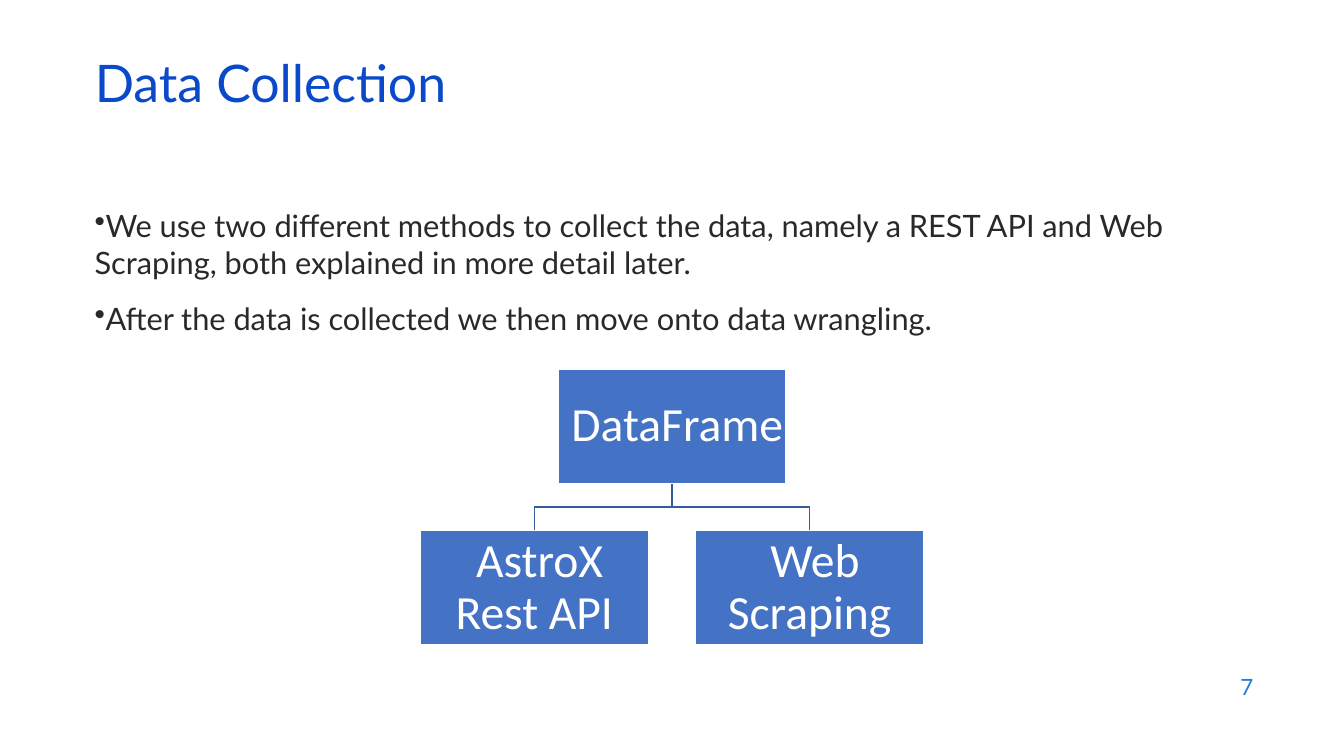
"""Build the Data Collection slide with a small hierarchy diagram."""
from pptx import Presentation
from pptx.dml.color import RGBColor
from pptx.enum.shapes import MSO_SHAPE
from pptx.enum.text import MSO_ANCHOR, MSO_AUTO_SIZE, PP_ALIGN
from pptx.oxml.ns import qn
from pptx.util import Inches, Pt

TITLE_BLUE = RGBColor(0x0B, 0x49, 0xCB)
NUMBER_BLUE = RGBColor(0x1C, 0x7D, 0xDB)
BODY_GRAY = RGBColor(0x29, 0x29, 0x29)
BOX_BLUE = RGBColor(0x44, 0x72, 0xC4)
LINK_BLUE = RGBColor(0x36, 0x5B, 0x9D)
WHITE = RGBColor(0xFF, 0xFF, 0xFF)

BULLETS = [
    "We use two different methods to collect the data, namely a REST API and Web "
    "Scraping, both explained in more detail later.",
    "After the data is collected we then move onto data wrangling.",
]
ROOT = " DataFrame"
SOURCES = [" AstroX Rest API", " Web Scraping"]


def style_font(paragraph, name, size, color):
    """Set typeface, size and colour on every run of a paragraph."""
    for run in paragraph.runs:
        run.font.name = name
        run.font.size = Pt(size)
        run.font.color.rgb = color


def add_title(slide, text, left, top, width, height):
    """Place and format the title placeholder."""
    title = slide.shapes.title
    title.left, title.top, title.width, title.height = left, top, width, height
    frame = title.text_frame
    frame.text = text
    frame.auto_size = MSO_AUTO_SIZE.NONE
    frame.vertical_anchor = MSO_ANCHOR.MIDDLE
    paragraph = frame.paragraphs[0]
    paragraph.alignment = PP_ALIGN.LEFT
    paragraph.line_spacing = 0.7
    style_font(paragraph, "Lato", 37, TITLE_BLUE)


def add_bullets(slide, texts, left, top, width, height):
    """Add the bulleted body text."""
    frame = slide.shapes.add_textbox(left, top, width, height).text_frame
    frame.word_wrap = True
    frame.text = "\n".join(texts)
    for index, paragraph in enumerate(frame.paragraphs):
        properties = paragraph._p.get_or_add_pPr()
        bullet = properties.makeelement(qn("a:buChar"), {"char": "•"})
        properties.append(bullet)
        paragraph.space_before = Pt(14 if index else 0)
        style_font(paragraph, "Lato", 22, BODY_GRAY)


def add_page_number(slide, text, left, top, width, height):
    """Add the right-aligned page number."""
    frame = slide.shapes.add_textbox(left, top, width, height).text_frame
    frame.word_wrap = True
    frame.vertical_anchor = MSO_ANCHOR.MIDDLE
    frame.text = text
    paragraph = frame.paragraphs[0]
    paragraph.alignment = PP_ALIGN.RIGHT
    style_font(paragraph, "Lato", 16, NUMBER_BLUE)


def add_node(slide, text, left, top, width, height):
    """Add one labelled box of the hierarchy."""
    node = slide.shapes.add_shape(MSO_SHAPE.RECTANGLE, left, top, width, height)
    node.shadow.inherit = False
    node.fill.solid()
    node.fill.fore_color.rgb = BOX_BLUE
    node.line.color.rgb = WHITE
    node.line.width = Pt(1)
    frame = node.text_frame
    frame.word_wrap = True
    frame.vertical_anchor = MSO_ANCHOR.MIDDLE
    frame.margin_left = frame.margin_right = Inches(0.02)
    frame.margin_top = frame.margin_bottom = Inches(0.02)
    frame.text = text
    paragraph = frame.paragraphs[0]
    paragraph.alignment = PP_ALIGN.CENTER
    paragraph.line_spacing = 0.9
    style_font(paragraph, "Calibri", 34, WHITE)


def add_link(slide, start_x, start_y, end_x, end_y):
    """Add a stepped line from a parent box down to a child box."""
    middle_y = (start_y + end_y) // 2
    builder = slide.shapes.build_freeform(start_x, start_y)
    builder.add_line_segments(
        [(start_x, middle_y), (end_x, middle_y), (end_x, end_y)], close=False
    )
    link = builder.convert_to_shape()
    link.shadow.inherit = False
    link.fill.background()
    link.line.color.rgb = LINK_BLUE
    link.line.width = Pt(1)


def add_hierarchy(slide, root, children, left, top, width, height):
    """Add a root box centred above a row of linked child boxes."""
    gap = Inches(0.47)
    node_width = (width - gap * (len(children) - 1)) // len(children)
    node_height = (height - gap) // 2
    center = left + width // 2
    child_top = top + node_height + gap
    lefts = [left + index * (node_width + gap) for index in range(len(children))]
    for child_left in lefts:
        add_link(slide, center, top + node_height,
                 child_left + node_width // 2, child_top)
    add_node(slide, root, center - node_width // 2, top, node_width, node_height)
    for text, child_left in zip(children, lefts):
        add_node(slide, text, child_left, child_top, node_width, node_height)


def main():
    """Build and save the presentation."""
    presentation = Presentation()
    presentation.slide_width = Inches(13.33)
    presentation.slide_height = Inches(7.5)
    slide = presentation.slides.add_slide(presentation.slide_layouts[5])
    left, width = Inches(0.84), Inches(11.5)
    add_title(slide, "Data Collection", left, Inches(0.59), width, Inches(0.6))
    add_bullets(slide, BULLETS, left, Inches(2), width, Inches(1.5))
    add_hierarchy(slide, ROOT, SOURCES,
                  Inches(4.17), Inches(3.66), Inches(4.99), Inches(2.74))
    add_page_number(slide, "7", Inches(9.53), Inches(6.59), Inches(3), Inches(0.44))
    presentation.save("out.pptx")


if __name__ == "__main__":
    main()
